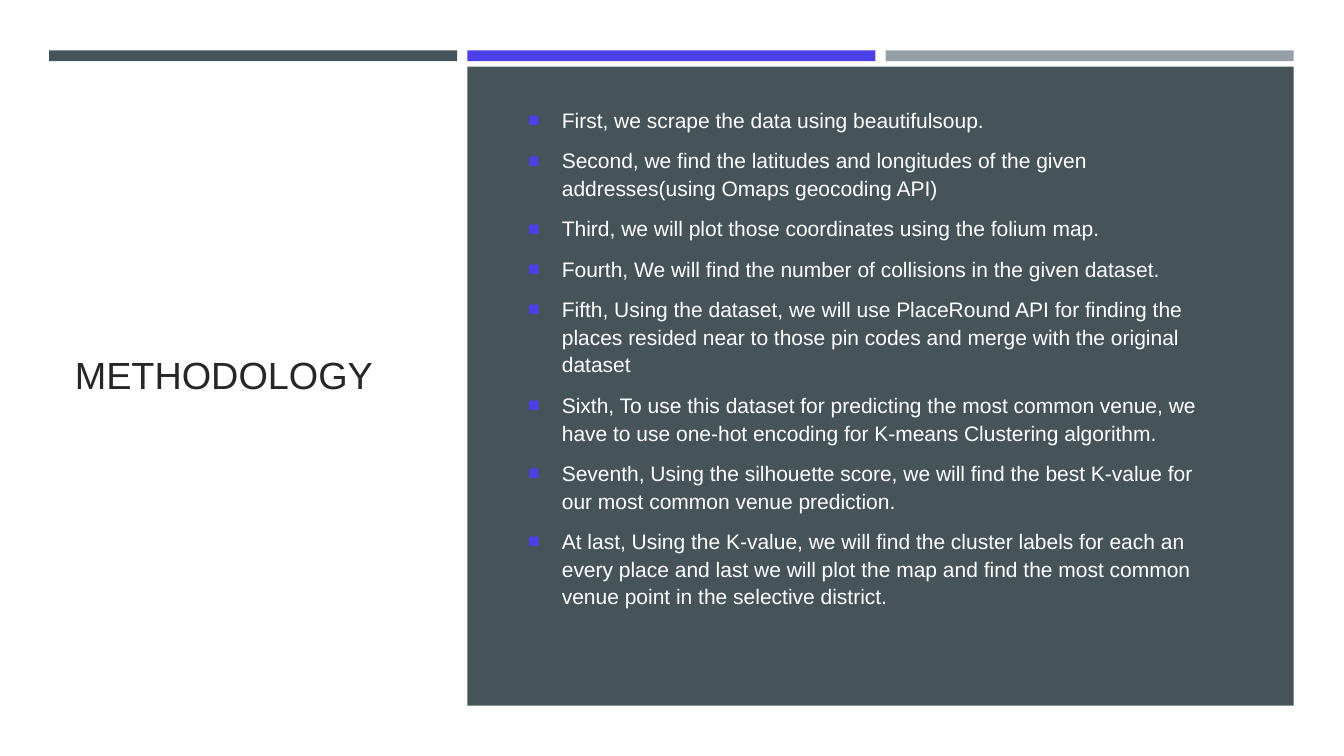
from lxml.etree import SubElement
from pptx import Presentation
from pptx.dml.color import RGBColor
from pptx.enum.shapes import MSO_SHAPE
from pptx.enum.text import MSO_ANCHOR, PP_ALIGN
from pptx.oxml.ns import qn
from pptx.util import Cm, Pt

WHITE = RGBColor(0xFF, 0xFF, 0xFF)
NAVY = RGBColor(0x24, 0x32, 0x41)
SLATE = RGBColor(0x46, 0x53, 0x59)
VIOLET = RGBColor(0x4C, 0x40, 0xE9)
GREY = RGBColor(0x96, 0x9F, 0xA7)
INK = RGBColor(0x26, 0x26, 0x26)

WIDTH, HEIGHT = 33.87, 19.05
BAR_LEFT, BAR_WIDTH, BAR_PITCH = 1.24, 10.28, 10.54
CONTENT_TOP, CONTENT_HEIGHT = 2.97, 13.08

STEPS = [
    "First, we scrape the data using beautifulsoup.",
    "Second, we find the latitudes and longitudes of the given addresses(using Omaps geocoding API)",
    "Third, we will plot those coordinates using the folium map.",
    "Fourth, We will find the number of collisions in the given dataset.",
    "Fifth, Using the dataset, we will use PlaceRound API for finding the places resided near to "
    "those pin codes and merge with the original dataset",
    "Sixth, To use this dataset for predicting the most common venue, we have to use one-hot "
    "encoding for K-means Clustering algorithm.",
    "Seventh, Using the silhouette score, we will find the best K-value for our most common "
    "venue prediction.",
    "At last, Using the K-value, we will find the cluster labels for each an every place and last "
    "we will plot the map and find the most common venue point in the selective district.",
]


class SlideBuilder:
    """Holds the font and the current slide."""

    def __init__(self, slide, font_name):
        self.slide = slide
        self.font_name = font_name

    def style(self, paragraph, size, color, line_spacing):
        paragraph.alignment = PP_ALIGN.LEFT
        paragraph.line_spacing = line_spacing
        for run in paragraph.runs:
            run.font.name = self.font_name
            run.font.size = Pt(size)
            run.font.color.rgb = color

    def block(self, left, top, width, height, color):
        block = self.slide.shapes.add_shape(
            MSO_SHAPE.RECTANGLE, Cm(left), Cm(top), Cm(width), Cm(height))
        block.shadow.inherit = False
        block.fill.solid()
        block.fill.fore_color.rgb = color
        block.line.fill.background()

    def title(self, text, left, top, width, height):
        title = self.slide.shapes.title
        title.left, title.top, title.width, title.height = Cm(left), Cm(top), Cm(width), Cm(height)
        title.text_frame.text = text
        title.text_frame.word_wrap = True
        title.text_frame.vertical_anchor = MSO_ANCHOR.MIDDLE
        self.style(title.text_frame.paragraphs[0], 27, INK, 0.9)

    def bullet(self, paragraph):
        properties = paragraph._p.get_or_add_pPr()
        properties.set("marL", str(Cm(0.85)))
        properties.set("indent", str(-Cm(0.85)))
        color = SubElement(properties, qn("a:buClr"))
        SubElement(color, qn("a:srgbClr"), val=str(VIOLET))
        SubElement(properties, qn("a:buSzPct"), val="92000")
        SubElement(properties, qn("a:buFont"), typeface=self.font_name)
        SubElement(properties, qn("a:buChar"), char="■")

    def bullet_list(self, items, left, top, width, height):
        frame = self.slide.shapes.add_textbox(Cm(left), Cm(top), Cm(width), Cm(height)).text_frame
        frame.word_wrap = True
        frame.vertical_anchor = MSO_ANCHOR.MIDDLE
        frame.margin_bottom = Cm(1.15)
        for index, item in enumerate(items):
            paragraph = frame.add_paragraph() if index else frame.paragraphs[0]
            paragraph.text = item
            self.bullet(paragraph)
            self.style(paragraph, 15, WHITE, 1.1)
            paragraph.space_before = Pt(3 if index else 0)
            paragraph.space_after = Pt(6)


def main():
    presentation = Presentation()
    presentation.slide_width, presentation.slide_height = Cm(WIDTH), Cm(HEIGHT)
    slide = presentation.slides.add_slide(presentation.slide_layouts[5])
    slide.background.fill.solid()
    slide.background.fill.fore_color.rgb = NAVY
    builder = SlideBuilder(slide, "Arial")

    # White page, with the title kept in front of it
    builder.block(0, 0, WIDTH, HEIGHT, WHITE)
    slide.shapes._spTree.append(slide.shapes.title._element)
    builder.title("METHODOLOGY", 1.63, CONTENT_TOP, 8.94, CONTENT_HEIGHT)

    # Three bars along the top
    for column, color in enumerate((SLATE, VIOLET, GREY)):
        builder.block(BAR_LEFT + column * BAR_PITCH, 1.27, BAR_WIDTH, 0.27, color)

    # Panel with the steps, under the second and third bars
    builder.block(BAR_LEFT + BAR_PITCH, 1.68, BAR_PITCH + BAR_WIDTH, 16.1, SLATE)
    builder.bullet_list(STEPS, 13.06, CONTENT_TOP, 18.16, CONTENT_HEIGHT)

    presentation.save("out.pptx")


if __name__ == "__main__":
    main()
